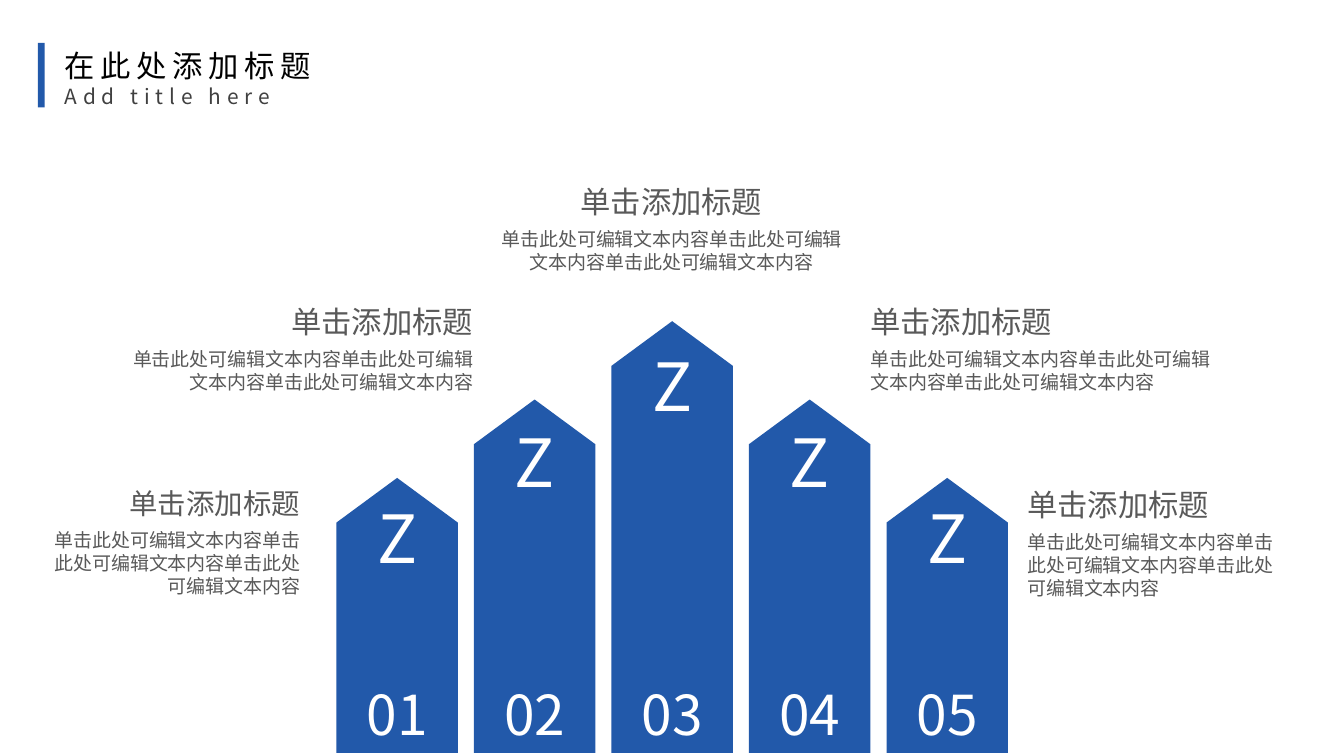
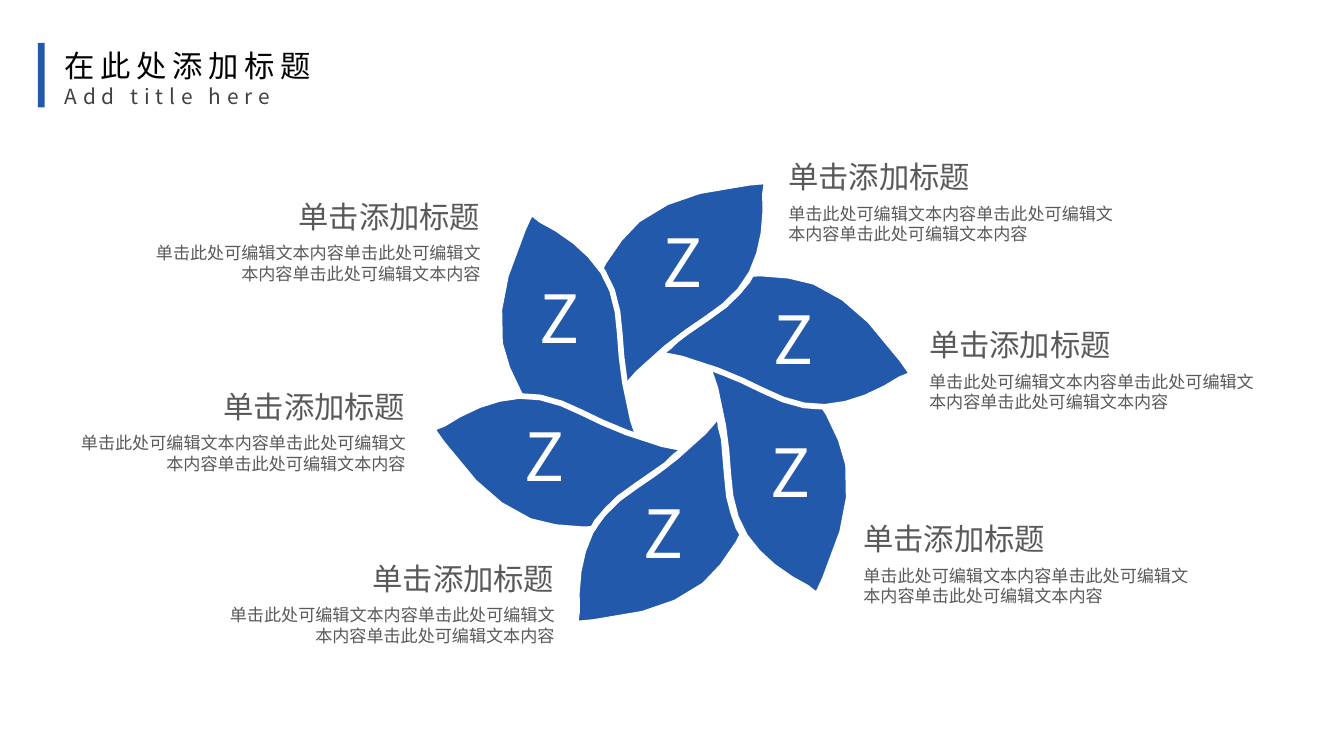
"""Build two slides: five rising arrows and a six-petal wheel."""
from dataclasses import dataclass

from lxml.etree import SubElement
from pptx import Presentation
from pptx.dml.color import RGBColor as Rgb
from pptx.enum.shapes import MSO_SHAPE as Form
from pptx.enum.text import MSO_ANCHOR as Anchor, MSO_AUTO_SIZE as Fit, PP_ALIGN as Align
from pptx.oxml.ns import qn
from pptx.util import Pt


@dataclass(frozen=True)
class Theme:
    """Colours, type sizes and the paragraph gap."""
    font: str = "Noto Sans CJK SC"
    blue: str = "2259AA"
    white: str = "FFFFFF"
    black: str = "000000"
    dark: str = "404040"
    grey: str = "595959"
    title: float = 16
    sub: float = 11
    head: float = 16
    small: float = 15
    body: float = 10
    fine: float = 9
    mark: float = 35
    digit: float = 29
    gap: float = 4.4


T = Theme()
WIDE, HIGH = 708.5, 396.85
MID = 354.35
LEFT, CENTER, RIGHT = Align.LEFT, Align.CENTER, Align.RIGHT

TITLE = ("在此处添加标题", "Add title here")
HEAD = "单击添加标题"
BODY = "单击此处可编辑文本内容" * 3
ICON = "Z"

BARS = [("01", 0), ("02", 1), ("03", 2), ("04", 1), ("05", 0)]
BAR_W, BAR_STEP = 64, 72.5
BAR_H, BAR_RISE = 145, 41.3

BAR_NOTES = [
    (15.8, 253.4, 147.6, 64, RIGHT, T.small),
    (55.4, 157, 199.2, 53, RIGHT, T.head),
    (254.4, 93.6, 199.2, 53, CENTER, T.head),
    (453.6, 157, 199.2, 53, LEFT, T.head),
    (536.4, 253.4, 147.6, 64, LEFT, T.head),
]

CORE = (5.75, -61.2)
TIP = (49.7, -116.3)
PETAL = [
    [(49.7, -114.1), (49.7, -114.1), (49, -109.8)],
    [(49, -105.5), (49.7, -96.1), (48.2, -88.9)],
    [(46.8, -81.7), (45.4, -74.5), (41.8, -68)],
    [(38.9, -61.6), (33.1, -55.8), (27.4, -50.8)],
    [(21.6, -45.7), (14.4, -42.1), (7.9, -37.1)],
    [(0.7, -32), (-7.2, -25.6), (-13, -19.8)],
    [(-16.6, -16.9), (-19.4, -14), (-21.6, -11.2)],
    [(-25.9, -6.1)],
    [(-26.6, -12.6)],
    [(-28.1, -16.9), (-28.8, -21.2), (-28.8, -25.6)],
    [(-30.2, -34.2), (-29.5, -42.1), (-31, -49.3)],
    [(-32.4, -55.1), (-33.8, -60.8), (-36, -65.9)],
    [(-38.2, -69.5)],
    [(-36, -73.8)],
    [(-31, -82.4), (-24.5, -90.4), (-18, -96.1)],
    [(-8.6, -104), (2.2, -107.6), (14.4, -111.2)],
    [(40.3, -115.6)],
    [(46.1, -116.3), (48.2, -116.3), TIP],
]
PETALS = [(180, 347.5, 273.4), (120, 404.9, 247.9), (60, 410.9, 186.6),
          (0, 360, 150.8), (300, 305.7, 177.8), (240, 297.7, 236.5)]

ICONS = [(278.6, 143.3), (270.7, 216), (333.4, 256.3),
         (400.3, 224.6), (401.8, 154.1), (343.2, 113.8)]
WHEEL_NOTES = [
    (71.2, 101.5, RIGHT), (31.7, 201.6, RIGHT), (110.2, 292.3, RIGHT),
    (410.4, 80.6, LEFT), (484.6, 169.2, LEFT), (450, 271.4, LEFT),
]


def paint(shape, fill):
    """Give a shape a flat fill without line or shadow."""
    shape.shadow.inherit = False
    shape.fill.solid()
    shape.fill.fore_color.rgb = Rgb.from_string(fill)
    shape.line.fill.background()


def write(shape, lines, align=LEFT, wrap=True, gap=0):
    """Fill a shape with (text, size, colour) lines."""
    frame = shape.text_frame
    frame.word_wrap = wrap
    frame.auto_size = Fit.NONE
    frame.vertical_anchor = Anchor.TOP
    frame.margin_left = frame.margin_right = Pt(5.2)
    frame.margin_top = frame.margin_bottom = Pt(2.8)
    frame.text = "\n".join(line[0] for line in lines)
    for para, (_, size, tint) in zip(frame.paragraphs, lines):
        para.alignment = align
        para.space_before = Pt(gap)
        for run in para.runs:
            run.font.name = T.font
            run.font.size = Pt(size)
            run.font.color.rgb = Rgb.from_string(tint)
            SubElement(run.font._element, qn("a:ea")).set("typeface", T.font)


def label(slide, x, y, w, h, lines, **style):
    """Add a text box in points."""
    box = slide.shapes.add_textbox(Pt(x), Pt(y), Pt(w), Pt(h))
    write(box, lines, **style)


def note(slide, x, y, w, h, align, head, body):
    """Add a heading with its text."""
    lines = [(HEAD, head, T.grey), (BODY, body, T.grey)]
    label(slide, x, y, w, h, lines, align=align, gap=T.gap)


def icon(slide, x, y):
    """Add a white letter mark."""
    label(slide, x, y, 33.1, 48.2, [(ICON, T.mark, T.white)],
          align=CENTER, wrap=False)


def start(deck):
    """Add a slide with the shared title and its blue band."""
    slide = deck.slides.add_slide(deck.slide_layouts[5])
    band = slide.shapes.add_shape(Form.RECTANGLE, Pt(20), Pt(22.6), Pt(3.5), Pt(34))
    paint(band, T.blue)
    title = slide.shapes.title
    title.left, title.top = Pt(29), Pt(22.3)
    title.width, title.height = Pt(145), Pt(39.6)
    write(title, [(TITLE[0], T.title, T.black), (TITLE[1], T.sub, T.dark)], wrap=False)
    for para in title.text_frame.paragraphs:
        for run in para.runs:
            run.font._element.set("spc", "300")
    return slide


def arrows(deck):
    """Draw the rising arrows."""
    slide = start(deck)
    for spot, (digit, rank) in enumerate(BARS):
        mid = MID + (spot - len(BARS) // 2) * BAR_STEP
        tall = BAR_H + rank * BAR_RISE
        bar = slide.shapes.add_shape(
            Form.PENTAGON, Pt(mid - tall / 2), Pt(HIGH - (tall + BAR_W) / 2),
            Pt(tall), Pt(BAR_W))
        bar.rotation = 270
        bar.adjustments[0] = 0.368
        paint(bar, T.blue)
        label(slide, mid - BAR_W / 2, 355.7, BAR_W, 41,
              [(digit, T.digit, T.white)], align=CENTER)
        icon(slide, mid - 16.5, 259.3 - 40 * rank)
    for spot in BAR_NOTES:
        note(slide, *spot, T.body)


def trace(steps, first, cuts=2):
    """Turn lines and cubic curves into a list of points."""
    dots = [first]
    for step in steps:
        if len(step) == 1:
            dots += step
            continue
        knots = [dots[-1], *step]
        for cut in range(1, cuts + 1):
            t = cut / cuts
            parts = ((1 - t) ** 3, 3 * t * (1 - t) ** 2, 3 * t * t * (1 - t), t ** 3)
            dots.append(tuple(sum(p * k[axis] for p, k in zip(parts, knots))
                              for axis in (0, 1)))
    return dots


def wheel(deck):
    """Draw the petal wheel."""
    slide = start(deck)
    group = slide.shapes.add_group_shape()
    edge = trace(PETAL, TIP)
    for turn, x, y in PETALS:
        dots = [(Pt(x + a - CORE[0]), Pt(y + b - CORE[1])) for a, b in edge]
        pen = group.shapes.build_freeform(*dots[0])
        pen.add_line_segments(dots[1:-1], close=True)
        petal = pen.convert_to_shape()
        petal.rotation = turn
        paint(petal, T.blue)
        petal.line.color.rgb = Rgb.from_string(T.white)
        petal.line.width = Pt(3)
    for spot in ICONS:
        icon(slide, *spot)
    for x, y, align in WHEEL_NOTES:
        note(slide, x, y, 187.2, 50.4, align, T.head, T.fine)


def main():
    """Build and save the deck."""
    deck = Presentation()
    deck.slide_width, deck.slide_height = Pt(WIDE), Pt(HIGH)
    arrows(deck)
    wheel(deck)
    deck.save("out.pptx")


if __name__ == "__main__":
    main()
